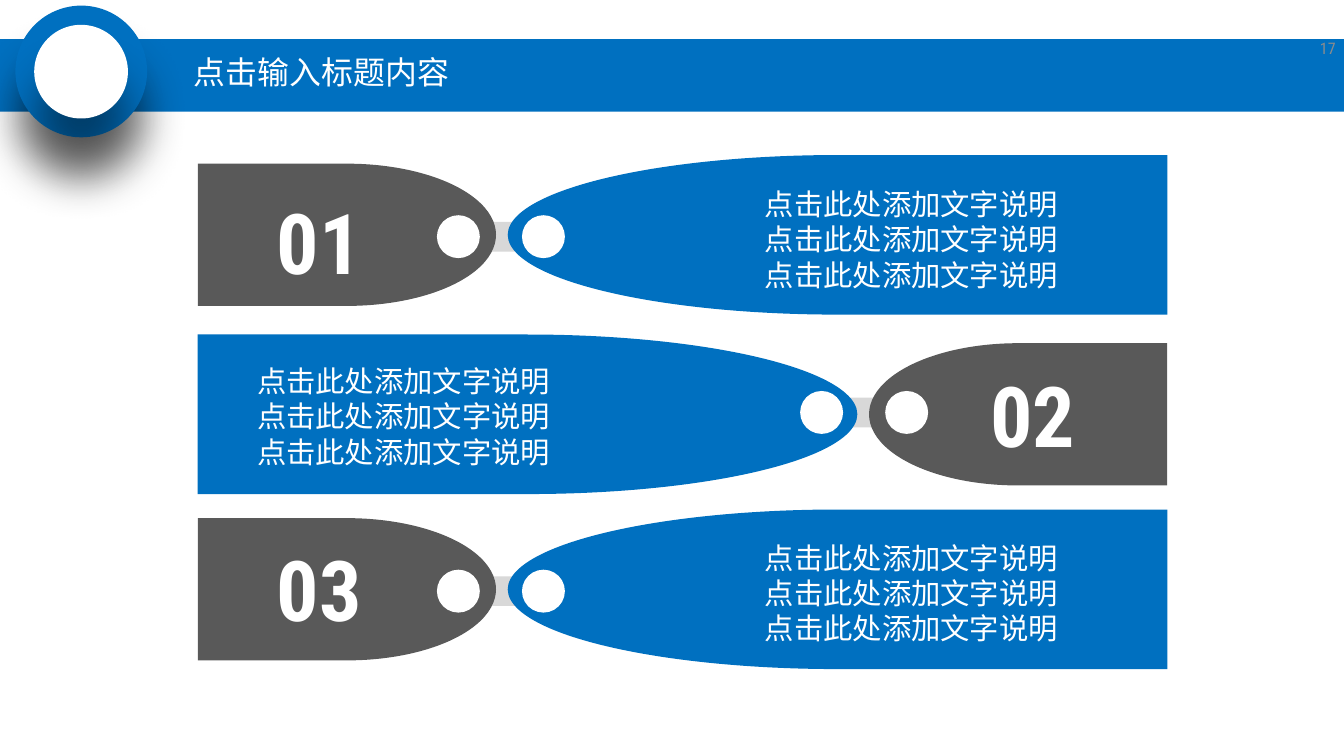
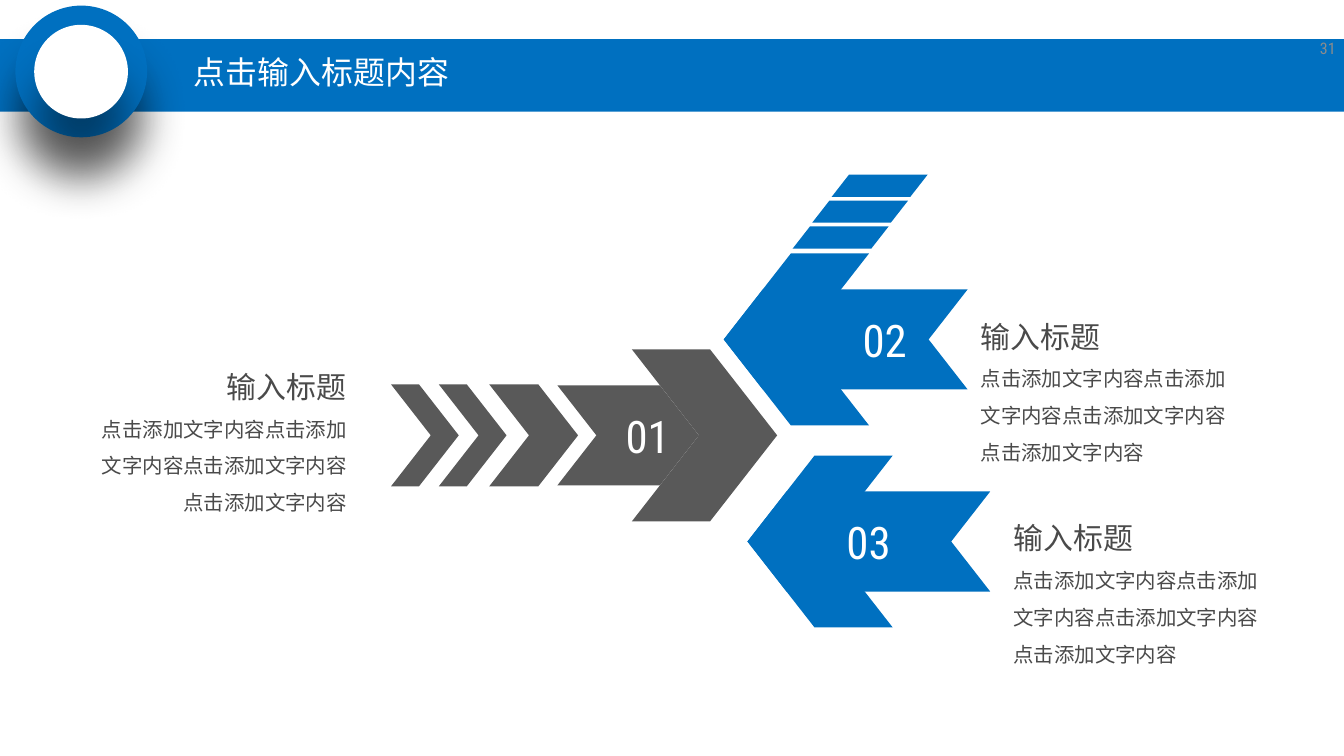
"""Build two slides: a three-row pill list and a three-arrow diagram under a shared title band."""
from dataclasses import dataclass

from lxml.etree import SubElement
from pptx import Presentation
from pptx.dml.color import RGBColor
from pptx.enum.shapes import MSO_SHAPE
from pptx.enum.text import MSO_ANCHOR, MSO_AUTO_SIZE, PP_ALIGN
from pptx.oxml.ns import qn
from pptx.presentation import Presentation as Deck
from pptx.shapes.autoshape import Shape
from pptx.slide import Slide, SlideLayout
from pptx.text.text import TextFrame
from pptx.util import Cm, Pt

BLUE = RGBColor(0x00, 0x70, 0xC0)
GREY = RGBColor(0x59, 0x59, 0x59)
LINK = RGBColor(0xD8, 0xD8, 0xD8)
WHITE = RGBColor(0xFF, 0xFF, 0xFF)
INK = RGBColor(0x4A, 0x4A, 0x4A)
PALE = RGBColor(0x8C, 0x8C, 0x8C)

FONT = "Roboto Condensed"
WIDTH, HEIGHT = 35.71, 20.09
TITLE = "点击输入标题内容"
ROW_TEXT = "点击此处添加文字说明"
NOTE_TITLE = "输入标题"
NOTE_TEXT = "点击添加文字内容" * 4

MIRROR = 36.27
DOT = 1.14
HEAD_W, HEAD_H, TAIL_H = 3.86, 4.57, 2.66
NOTCH = 0.39


@dataclass(frozen=True)
class Row:
    """One numbered row of the pill list, in centimetres."""

    num: str
    cy: float
    num_x: float
    num_y: float
    text_x: float
    text_y: float
    flipped: bool = False


@dataclass(frozen=True)
class Arrow:
    """One numbered arrow with its note, in centimetres."""

    num: str
    color: RGBColor
    cy: float
    head_x: float
    tail_x: float
    tail_w: float
    num_cx: float
    note_x: float
    note_y: float
    left: bool = True


ROWS = (
    Row("01", 6.24, 7.11, 4.93, 20.07, 4.83),
    Row("02", 11.01, 26.06, 9.53, 6.58, 9.53, flipped=True),
    Row("03", 15.66, 7.11, 14.17, 20.07, 14.22),
)
ARROWS = (
    Arrow("01", GREY, 11.57, 16.79, 14.81, 3.76, 17.21, 2.18, 9.19, left=False),
    Arrow("02", BLUE, 9.02, 19.23, 19.23, 6.48, 23.51, 25.7, 7.85),
    Arrow("03", BLUE, 14.39, 19.86, 19.86, 6.45, 23.08, 26.57, 13.21),
)
TRAIL = ((10.39, 1.8), (11.66, 1.8), (13.0, 2.36))


def add_shape(s: Slide, kind: MSO_SHAPE, x: float, y: float, w: float, h: float,
              color: RGBColor, rot: float = 0) -> Shape:
    """Add a flat filled preset shape."""
    sp = s.shapes.add_shape(kind, Cm(x), Cm(y), Cm(w), Cm(h))
    sp.shadow.inherit = False
    sp.fill.solid()
    sp.fill.fore_color.rgb = color
    sp.line.fill.background()
    sp.rotation = rot
    return sp


def write(tf: TextFrame, text: str, *, size: float, color: RGBColor, bold: bool = False,
          align: PP_ALIGN = PP_ALIGN.LEFT, spacing: float = 1.0, more: bool = False) -> None:
    """Write one formatted paragraph, after the existing ones if more is set."""
    p = tf.add_paragraph() if more else tf.paragraphs[0]
    p.alignment, p.line_spacing, p.space_before = align, spacing, Pt(0)
    r = p.add_run()
    r.text = text
    r.font.name, r.font.size, r.font.bold = FONT, Pt(size), bold
    r.font.color.rgb = color
    SubElement(r._r.get_or_add_rPr(), qn("a:ea"), typeface=FONT)


def add_box(s: Slide, x: float, y: float, w: float, h: float,
            anchor: MSO_ANCHOR = MSO_ANCHOR.TOP) -> TextFrame:
    """Add a wrapping text box and return its text frame."""
    tf = s.shapes.add_textbox(Cm(x), Cm(y), Cm(w), Cm(h)).text_frame
    tf.word_wrap = True
    tf.vertical_anchor = anchor
    return tf


def drop_shadow(sp: Shape) -> None:
    """Give a shape a soft shadow straight below it."""
    effects = sp.element.spPr.find(qn("a:effectLst"))
    shadow = SubElement(effects, qn("a:outerShdw"), blurRad=str(Pt(33)), dist=str(Pt(33)),
                        dir="5400000", algn="t", rotWithShape="0")
    color = SubElement(shadow, qn("a:srgbClr"), val="000000")
    SubElement(color, qn("a:alpha"), val="43000")


def decorate_layout(s: Slide, layout: SlideLayout) -> None:
    """Draw the title band and badge and move them to the layout."""
    band = add_shape(s, MSO_SHAPE.RECTANGLE, 0, 1.04, WIDTH, 1.93, BLUE)
    ring = add_shape(s, MSO_SHAPE.OVAL, 0.41, 0.15, 3.5, 3.5, BLUE)
    disc = add_shape(s, MSO_SHAPE.OVAL, 0.91, 0.66, 2.49, 2.49, WHITE)
    drop_shadow(ring)
    drop_shadow(disc)
    for i, sp in enumerate((band, ring, disc), start=2):
        layout.shapes.element.insert(i, sp.element)


def add_header(s: Slide, number: str) -> None:
    """Fill the title placeholder and the page number."""
    title = s.shapes.title
    title.left, title.top, title.width, title.height = Cm(4.9), Cm(1.27), Cm(8.81), Cm(1.4)
    tf = title.text_frame
    tf.auto_size = MSO_AUTO_SIZE.NONE
    tf.vertical_anchor = MSO_ANCHOR.MIDDLE
    write(tf, TITLE, size=24, color=WHITE, spacing=0.9)
    tf = add_box(s, 33.99, 0.74, 1.75, 1.07, MSO_ANCHOR.MIDDLE)
    write(tf, number, size=12, color=PALE, align=PP_ALIGN.RIGHT)


def add_row(s: Slide, row: Row) -> None:
    """Draw a row: number pill, text pill, and the link between them."""
    turn = 180 if row.flipped else 0
    dot_cy = row.cy + (-0.05 if row.flipped else 0.05)

    def part(kind: MSO_SHAPE, x: float, cy: float, w: float, h: float,
             color: RGBColor, rot: float = 0) -> None:
        """Draw a vertically centred part, mirrored in a flipped row."""
        left = MIRROR - x - w if row.flipped else x
        add_shape(s, kind, left, cy - h / 2, w, h, color, (rot + turn) % 360)

    part(MSO_SHAPE.FLOWCHART_TERMINATOR, 11.68, dot_cy, 3.33, 0.79, LINK)
    part(MSO_SHAPE.FLOWCHART_DELAY, 5.26, row.cy, 7.92, 3.78, GREY)
    part(MSO_SHAPE.FLOWCHART_DELAY, 13.49, row.cy, 17.53, 4.24, BLUE, 180)
    for x in (11.61, 13.87):
        part(MSO_SHAPE.FLOWCHART_CONNECTOR, x, dot_cy, DOT, DOT, WHITE)
    write(add_box(s, row.num_x, row.num_y, 4.06, 2.97), row.num,
          size=63.2, color=WHITE, bold=True)
    tf = add_box(s, row.text_x, row.text_y, 10.2, 3.1)
    for i in range(3):
        write(tf, ROW_TEXT, size=22.1, color=WHITE, more=i > 0)


def add_chevron(s: Slide, x: float, cy: float, w: float, h: float,
                color: RGBColor, left: bool = False) -> None:
    """Draw a chevron whose notch keeps the same slope at any size."""
    sp = add_shape(s, MSO_SHAPE.CHEVRON, x, cy - h / 2, w, h, color, 180 if left else 0)
    sp.adjustments[0] = NOTCH * h / min(w, h)


def add_arrow(s: Slide, a: Arrow) -> None:
    """Draw an arrow from two chevrons, with its number and note."""
    add_chevron(s, a.tail_x, a.cy, a.tail_w, TAIL_H, a.color, a.left)
    add_chevron(s, a.head_x, a.cy, HEAD_W, HEAD_H, a.color, a.left)
    write(add_box(s, a.num_cx - 1.5, a.cy - 0.9, 3, 1.8, MSO_ANCHOR.MIDDLE), a.num,
          size=33.8, color=WHITE, align=PP_ALIGN.CENTER)
    tf = add_box(s, a.note_x, a.note_y, 7.39, 4.72)
    tf.margin_left = tf.margin_right = Cm(0.36)
    tf.margin_top, tf.margin_bottom = Cm(0.13), Cm(0.18)
    align = PP_ALIGN.LEFT if a.left else PP_ALIGN.RIGHT
    write(tf, NOTE_TITLE, size=22.5, color=INK, align=align, spacing=1.5)
    write(tf, NOTE_TEXT, size=15.4, color=INK, align=align, spacing=1.5, more=True)


def build_rows(prs: Deck, layout: SlideLayout) -> None:
    """Build the pill list slide."""
    s = prs.slides.add_slide(layout)
    decorate_layout(s, layout)
    for row in ROWS:
        add_row(s, row)
    add_header(s, "17")


def build_arrows(prs: Deck, layout: SlideLayout) -> None:
    """Build the arrow diagram slide."""
    s = prs.slides.add_slide(layout)
    for x, w in TRAIL:
        add_chevron(s, x, 11.57, w, 2.71, GREY)
    for i in range(3):
        stripe = add_shape(s, MSO_SHAPE.PARALLELOGRAM, 21.06 + 0.52 * i, 6.02 - 0.69 * i,
                           2.55, 0.59, BLUE)
        stripe.adjustments[0] = 0.78
    for arrow in ARROWS:
        add_arrow(s, arrow)
    add_header(s, "31")


def main() -> None:
    """Build and save the deck."""
    prs = Presentation()
    prs.slide_width, prs.slide_height = Cm(WIDTH), Cm(HEIGHT)
    layout = prs.slide_layouts.get_by_name("Title Only")
    build_rows(prs, layout)
    build_arrows(prs, layout)
    prs.save("out.pptx")


if __name__ == "__main__":
    main()
